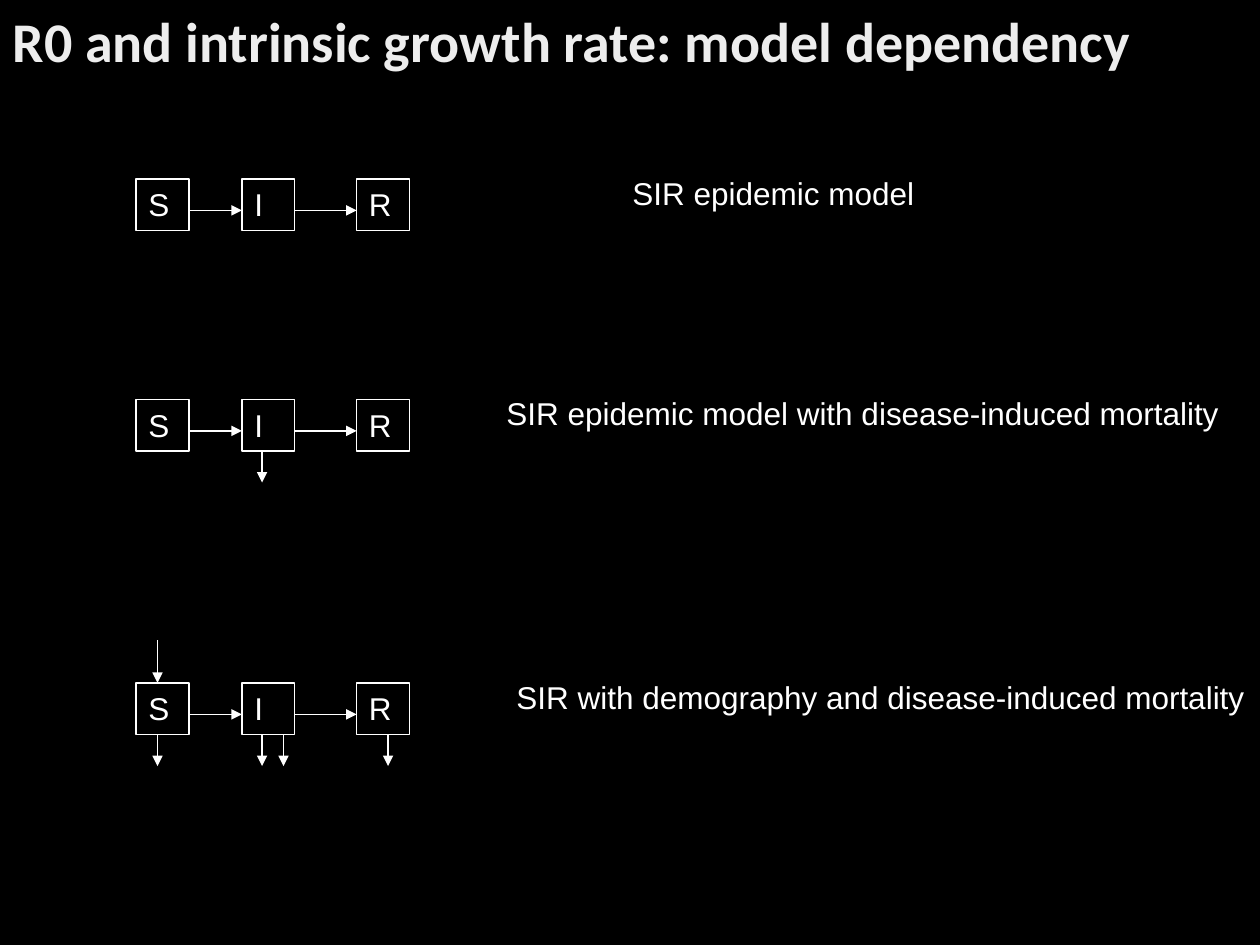
from lxml import etree
from pptx import Presentation
from pptx.dml.color import RGBColor
from pptx.enum.shapes import MSO_CONNECTOR, MSO_SHAPE
from pptx.enum.text import MSO_ANCHOR, PP_ALIGN
from pptx.oxml.ns import qn
from pptx.util import Inches, Pt


def paint(color_format, hex_color):
    color_format.rgb = RGBColor.from_string(hex_color)


def write(shape, text, font_name, size, hex_color, anchor):
    frame = shape.text_frame
    frame.word_wrap = True
    frame.vertical_anchor = anchor
    frame.text = text
    paragraph = frame.paragraphs[0]
    paragraph.alignment = PP_ALIGN.LEFT
    paragraph.font.name = font_name
    paragraph.font.size = Pt(size)
    paint(paragraph.font.color, hex_color)
    return paragraph


WHITE = "FFFFFF"
BOX_WIDTH, BOX_HEIGHT = 0.42, 0.41
FLOW_OFFSET = 0.25
EXIT_LENGTH = 0.25
ENTRY_LENGTH = 0.34
compartments = {"S": 1.08, "I": 1.92, "R": 2.83}
flows = [("S", "I"), ("I", "R")]

models = [
    ("SIR epidemic model", 1.42, 4.92, 3.58, [], []),
    ("SIR epidemic model with disease-induced mortality", 3.17, 3.92, 5.92, [], [2.08]),
    ("SIR with demography and disease-induced mortality", 5.42, 4, 6,
     [1.25], [1.25, 2.08, 2.25, 3.08]),
]

presentation = Presentation()
presentation.slide_width = Inches(10)
presentation.slide_height = Inches(7.5)
slide = presentation.slides.add_slide(presentation.slide_layouts[5])
slide.background.fill.solid()
paint(slide.background.fill.fore_color, "000000")

title = slide.shapes.title
title.left, title.top = Inches(0), Inches(0)
title.width, title.height = Inches(9.83), Inches(0.7)
paragraph = write(title, "R0 and intrinsic growth rate: model dependency",
                  "Calibri", 32, "EDEDED", MSO_ANCHOR.MIDDLE)
paragraph.font.bold = True
paragraph.line_spacing = 0.9

for caption, top, caption_left, caption_width, entries, exits in models:
    diagram = slide.shapes.add_group_shape()
    for name, left in compartments.items():
        box = diagram.shapes.add_shape(
            MSO_SHAPE.RECTANGLE, Inches(left), Inches(top),
            Inches(BOX_WIDTH), Inches(BOX_HEIGHT))
        box.shadow.inherit = False
        box.fill.background()
        paint(box.line.color, WHITE)
        box.line.width = Pt(0.75)
        write(box, name, "Arial", 18, WHITE, MSO_ANCHOR.TOP)

    bottom = top + BOX_HEIGHT
    flow_y = top + FLOW_OFFSET
    arrows = [(compartments[source] + BOX_WIDTH, flow_y, compartments[target], flow_y)
              for source, target in flows]
    arrows += [(x, top - ENTRY_LENGTH, x, top) for x in entries]
    arrows += [(x, bottom, x, bottom + EXIT_LENGTH) for x in exits]
    for ends in arrows:
        arrow = diagram.shapes.add_connector(
            MSO_CONNECTOR.STRAIGHT, *(Inches(value) for value in ends))
        paint(arrow.line.color, WHITE)
        arrow.line.width = Pt(0.75)
        etree.SubElement(arrow.line._get_or_add_ln(), qn("a:tailEnd"), type="triangle")
        etree.SubElement(arrow._element.spPr, qn("a:effectLst"))

    label = slide.shapes.add_textbox(
        Inches(caption_left), Inches(top - 0.09), Inches(caption_width), Inches(0.4))
    write(label, caption, "Arial", 18, WHITE, MSO_ANCHOR.TOP)

presentation.save("out.pptx")
